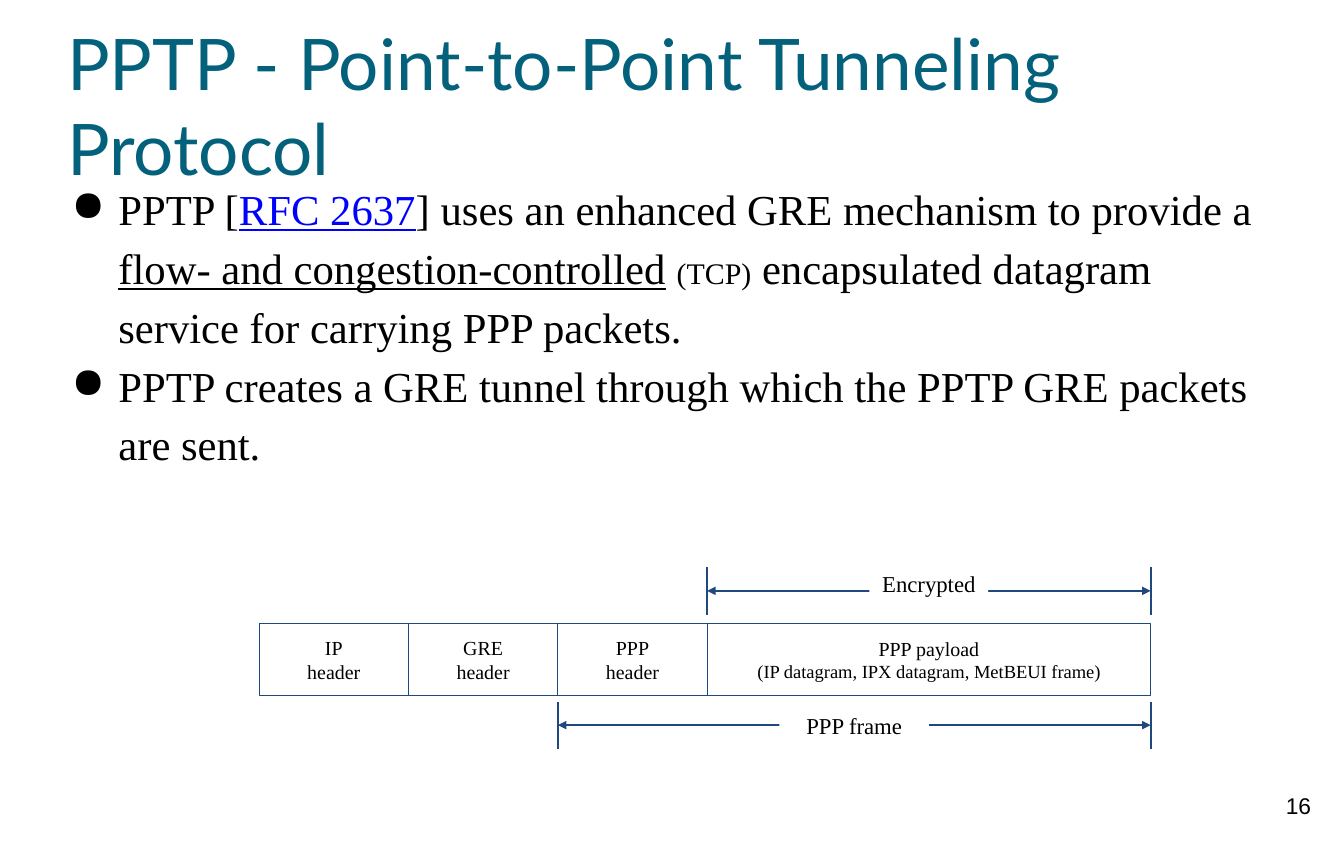
import pptx
import pptx.util
import pptx.dml.color
import pptx.enum.text
import pptx.enum.shapes
import pptx.oxml.ns
import lxml.etree

W, H = 13.12, 8.27
SERIF, BLACK, NAVY, BLUE = "Times New Roman", "000000", "1F497D", "0000FF"
HEAD = "PPTP - Point-to-Point Tunneling Protocol"
BODY = [
    [("PPTP [", {}),
     ("RFC 2637", {"hue": BLUE, "line": True}),
     ("] uses an enhanced GRE mechanism to provide a ", {}),
     ("flow- and congestion-controlled", {"line": True}),
     (" ", {}),
     ("(TCP)", {"size": 21}),
     (" encapsulated datagram service for carrying PPP packets.", {})],
    [("PPTP creates a GRE tunnel through which the PPTP GRE packets are sent.", {})],
]
FIELDS = [
    ("IP", "header", 14, 1),
    ("GRE", "header", 14, 1),
    ("PPP", "header", 14, 1),
    ("PPP payload", "(IP datagram, IPX datagram, MetBEUI frame)", 13, 2.97),
]
SPANS = [
    ("Encrypted", 3, 5.77, 5.46, 1.16),
    ("PPP frame", 2, 7.08, 6.85, 1.46),
]
LEFT, COL, TOP, TALL = 2.53, W / 9, 6.09, 0.7
TICK, LABEL, PAD = 0.46, 0.47, 0.1

Inch, Pt = pptx.util.Inches, pptx.util.Pt
Align, Mid = pptx.enum.text.PP_ALIGN, pptx.enum.text.MSO_ANCHOR.MIDDLE
Fit = pptx.enum.text.MSO_AUTO_SIZE.SHAPE_TO_FIT_TEXT
Rect = pptx.enum.shapes.MSO_SHAPE.RECTANGLE
Straight = pptx.enum.shapes.MSO_CONNECTOR.STRAIGHT


def color(text):
    return pptx.dml.color.RGBColor.from_string(text)


def add(node, tag, **attrs):
    return lxml.etree.SubElement(node, pptx.oxml.ns.qn(tag), attrs)


def style(font, size=None, hue=None, name=None, line=None):
    if size:
        font.size = Pt(size)
    if hue:
        font.color.rgb = color(hue)
    if name:
        font.name = name
    if line:
        font.underline = True


def frame(shape, pad=0, anchor=None):
    text = shape.text_frame
    text.word_wrap = True
    text.margin_left = text.margin_right = Inch(pad)
    text.margin_top = text.margin_bottom = Inch(pad)
    text.vertical_anchor = anchor or pptx.enum.text.MSO_ANCHOR.TOP
    return text


def write(text, words, size, hue, name, align):
    para = text.paragraphs[0]
    para.text = words
    para.alignment = align
    style(para.font, size, hue, name)


def box(shapes, x, y, wide, tall, fill=None, edge=None):
    shape = shapes.add_shape(Rect, Inch(x), Inch(y), Inch(wide), Inch(tall))
    shape.shadow.inherit = False
    if fill:
        shape.fill.solid()
        shape.fill.fore_color.rgb = color(fill)
    else:
        shape.fill.background()
    if edge:
        shape.line.color.rgb = color(edge)
        shape.line.width = Pt(0.75)
    else:
        shape.line.fill.background()
    return shape


def rule(shapes, x1, y1, x2, y2, arrow=False):
    link = shapes.add_connector(Straight, Inch(x1), Inch(y1), Inch(x2), Inch(y2))
    link.line.color.rgb = color(NAVY)
    link.line.width = Pt(1.5)
    props = link._element.spPr
    if arrow:
        stroke = props.find(pptx.oxml.ns.qn("a:ln"))
        add(stroke, "a:headEnd", type="triangle")
        add(stroke, "a:tailEnd", type="triangle")
    add(props, "a:effectLst")


def note(page, x, y, wide, tall):
    return page.shapes.add_textbox(Inch(x), Inch(y), Inch(wide), Inch(tall))


def bullets(text):
    for row, parts in enumerate(BODY):
        para = text.add_paragraph() if row else text.paragraphs[0]
        para.line_spacing = 1.15
        props = para._p.get_or_add_pPr()
        props.set("marL", str(Inch(0.5)))
        props.set("indent", str(Inch(-0.46)))
        add(add(props, "a:buClr"), "a:srgbClr", val=BLACK)
        add(props, "a:buChar", char="●")
        style(para.font, 30, BLACK, SERIF)
        for words, look in parts:
            run = para.add_run()
            run.text = words
            style(run.font, **look)


def packet(shapes):
    edges = [LEFT]
    for first, second, size, cols in FIELDS:
        shape = box(shapes, edges[-1], TOP, cols * COL, TALL, edge=NAVY)
        text = frame(shape, PAD, Mid)
        write(text, first + "\v" + second, 14, BLACK, SERIF, Align.CENTER)
        if size != 14:
            style(text.paragraphs[0].runs[-1].font, size)
        edges.append(edges[-1] + cols * COL)
    return edges


def spans(shapes, edges):
    end = edges[-1]
    for words, col, y, top, wide in SPANS:
        start = edges[col]
        for x in (start, end):
            rule(shapes, x, y + TICK / 2, x, y - TICK / 2)
        rule(shapes, end, y, start, y, arrow=True)
        shape = box(shapes, (start + end - wide) / 2, top, wide, LABEL, fill="FFFFFF")
        text = frame(shape, PAD)
        text.auto_size = Fit
        write(text, words, 16, BLACK, SERIF, Align.CENTER)


def main():
    deck = pptx.Presentation()
    deck.slide_width, deck.slide_height = Inch(W), Inch(H)
    page = deck.slides.add_slide(deck.slide_layouts[6])
    side, wide = W / 20, W * 0.9
    title = frame(note(page, side, H / 25, wide, H / 6), 0, Mid)
    write(title, HEAD, 50, "04617B", "Lato", Align.LEFT)
    bullets(frame(note(page, side, 1.71, wide + 0.03, 2.83)))
    group = page.shapes.add_group_shape().shapes
    spans(group, packet(group))
    number = frame(note(page, 12.28, 7.63, 0.79, 0.63), PAD)
    write(number, "16", 16, BLACK, "Arial", Align.CENTER)
    deck.save("out.pptx")


if __name__ == "__main__":
    main()
